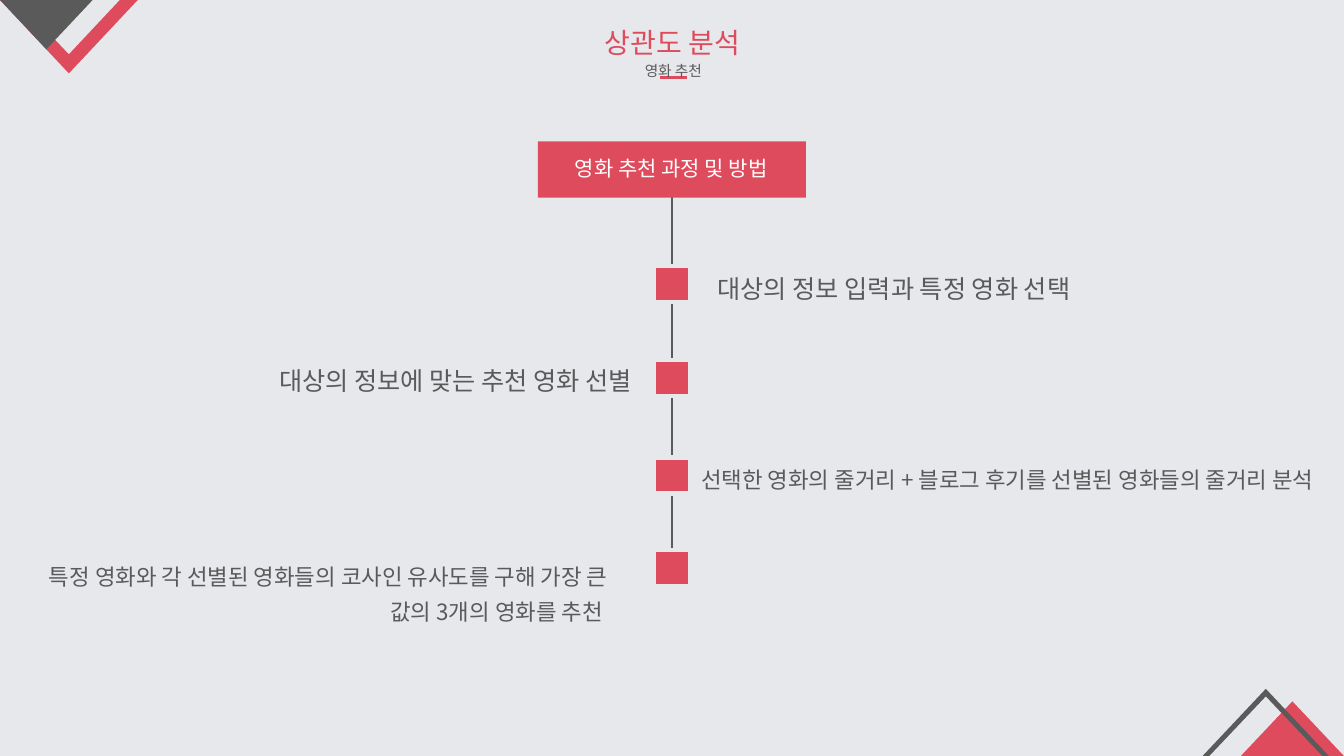
from lxml.etree import SubElement
from pptx import Presentation
from pptx.dml.color import RGBColor
from pptx.enum.shapes import MSO_CONNECTOR, MSO_SHAPE
from pptx.enum.text import MSO_AUTO_SIZE, PP_ALIGN
from pptx.oxml.ns import qn
from pptx.util import Pt

COLORS = {"back": "E7E8EC", "red": "DE4B5D", "gray": "5A5A5A", "white": "FFFFFF"}
FONT = "Noto Sans CJK KR"
WIDTH, HEIGHT = 960, 540
MID = WIDTH / 2


def color(name):
    return RGBColor.from_string(COLORS[name])


def apply(item, values):
    for name, value in values.items():
        setattr(item, name, value)


def paint(shape, fill, edge=None):
    shape.shadow.inherit = False
    shape.fill.solid()
    shape.fill.fore_color.rgb = color(fill)
    if edge:
        shape.line.color.rgb = color(edge)
        shape.line.width = Pt(3)
    else:
        shape.line.fill.background()


def add_poly(shapes, points, fill):
    points = [(Pt(x), Pt(y)) for x, y in points]
    form = shapes.build_freeform(*points[0], scale=1.0)
    form.add_line_segments(points[1:], close=True)
    paint(form.convert_to_shape(), fill)


def add_box(slide, box, edge=None):
    shape = slide.shapes.add_shape(MSO_SHAPE.RECTANGLE, *map(Pt, box))
    paint(shape, "red", edge)


def add_line(slide, ends, tint, width):
    line = slide.shapes.add_connector(MSO_CONNECTOR.STRAIGHT, *map(Pt, ends))
    line.line.color.rgb = color(tint)
    line.line.width = Pt(width)
    SubElement(line._element.spPr, qn("a:effectLst"))


def add_text(slide, box, text, size, tint="gray", align=PP_ALIGN.CENTER,
             space=1.3, wrap=True):
    frame = slide.shapes.add_textbox(*map(Pt, box)).text_frame
    apply(frame, {"word_wrap": wrap, "auto_size": MSO_AUTO_SIZE.SHAPE_TO_FIT_TEXT})
    para = frame.paragraphs[0]
    apply(para, {"alignment": align, "line_spacing": space})
    run = para.add_run()
    run.text = text
    apply(run.font, {"name": FONT, "size": Pt(size)})
    run.font.color.rgb = color(tint)
    SubElement(run._r.get_or_add_rPr(), qn("a:ea"), typeface=FONT)


def add_corners(slide):
    top = slide.shapes.add_group_shape().shapes
    add_poly(top, [(49.2, 52.4), (98.4, 0), (85.6, 0), (49.2, 38.8),
                   (12.4, 0), (0, 0)], "red")
    add_poly(top, [(33.1, 35.2), (66.2, 0), (0, 0)], "gray")
    base = slide.shapes.add_group_shape().shapes
    add_poly(base, [(923.2, 501), (886.4, HEIGHT), (WIDTH, HEIGHT)], "red")
    add_poly(base, [(949.2, HEIGHT), (944.6, HEIGHT), (904.2, 497.4),
                    (863.8, HEIGHT), (859, HEIGHT), (904.2, 492)], "gray")


def add_steps(slide):
    add_line(slide, (MID, 121.5, MID, 410), "gray", 2)
    side = 25.7
    for top in (190, 257.4, 326.8, 392.9):
        add_box(slide, (MID - side / 2, top, side, side), "back")
    add_box(slide, (384.3, 101, 191.4, 40.1))
    add_text(slide, (373.5, 107.2, 212, 25.5), "영화 추천 과정 및 방법",
             15, "white", space=None)
    left, right = PP_ALIGN.LEFT, PP_ALIGN.RIGHT
    for box, text, size, align in (
        ((505.4, 185.2, 373, 35.3), "대상의 정보 입력과 특정 영화 선택", 18, left),
        ((141.8, 250.7, 316.8, 35.3), "대상의 정보에 맞는 추천 영화 선별", 18, right),
        ((481, 324, 464.4, 31), "선택한 영화의 줄거리 + 블로그 후기를 선별된 영화들의 줄거리 분석",
         16, right),
        ((11.5, 393, 429.8, 56.2), "특정 영화와 각 선별된 영화들의 코사인 유사도를 구해 가장 큰 값의 3개의 영화를 추천 ",
         16, right),
    ):
        add_text(slide, box, text, size, align=align)


def add_title(slide):
    add_line(slide, (471.4, 55.5, 490.6, 55.5), "red", 1.75)
    add_text(slide, (420.4, 14.4, 120.2, 31.7), "상관도 분석", 20, "red",
             space=None, wrap=False)
    add_text(slide, (355, 36.7, 252, 22.3), "영화 추천", 10.5)


def main():
    deck = Presentation()
    apply(deck, {"slide_width": Pt(WIDTH), "slide_height": Pt(HEIGHT)})
    slide = deck.slides.add_slide(deck.slide_layouts[6])
    slide.background.fill.solid()
    slide.background.fill.fore_color.rgb = color("back")
    add_corners(slide)
    add_title(slide)
    add_steps(slide)
    deck.save("out.pptx")


if __name__ == "__main__":
    main()
